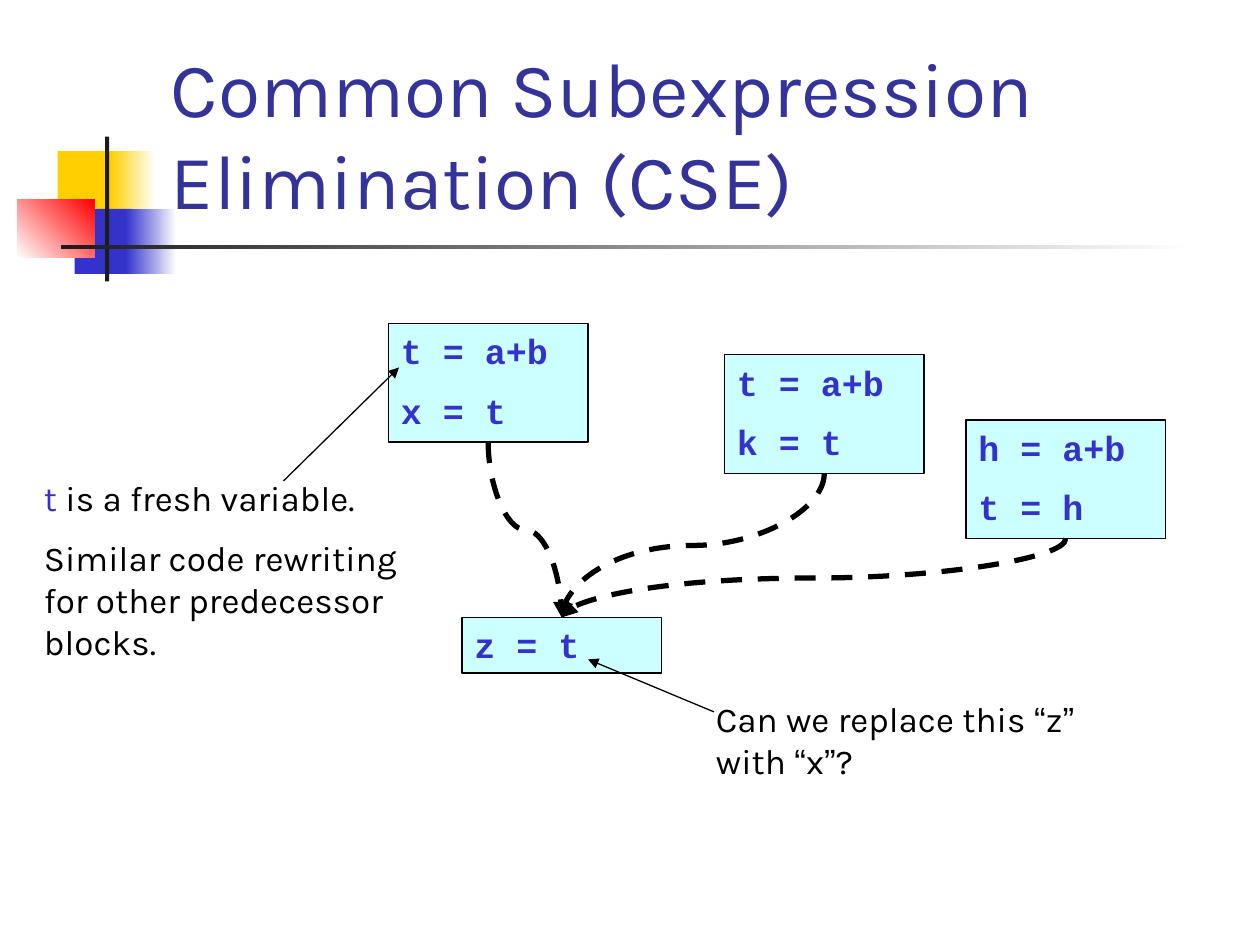
from dataclasses import dataclass

from lxml import etree
from pptx import Presentation
from pptx.dml.color import RGBColor
from pptx.enum.dml import MSO_LINE
from pptx.enum.shapes import MSO_CONNECTOR, MSO_SHAPE
from pptx.enum.text import MSO_ANCHOR, MSO_AUTO_SIZE, PP_ALIGN
from pptx.oxml.ns import qn
from pptx.slide import Slide
from pptx.util import Inches, Pt

RECTANGLE = MSO_SHAPE.RECTANGLE
STRAIGHT, CURVE = MSO_CONNECTOR.STRAIGHT, MSO_CONNECTOR.CURVE
DASH = MSO_LINE.DASH
TOP, BOTTOM = MSO_ANCHOR.TOP, MSO_ANCHOR.BOTTOM
GROW = MSO_AUTO_SIZE.SHAPE_TO_FIT_TEXT
LEFT = PP_ALIGN.LEFT
TOP_SITE, BOTTOM_SITE = 0, 2
COLUMNS, ROWS = 120, 90
QUOTES = "“”"


def color(value):
    return RGBColor.from_string(value)


@dataclass
class Style:
    slide: Slide
    column: float
    row: float
    text_font: str = "Karla"
    quote_font: str = "Arial"
    code_font: str = "Courier New"
    title: str = "333399"
    accent: str = "3333CC"
    ink: str = "000000"
    panel: str = "CCFFFF"
    size: int = 20

    def place(self, *lengths):
        units = (self.column, self.row) * 2
        return [round(length * unit) for length, unit in zip(lengths, units)]

    def block(self, at, first, last=None, angle=0):
        box = self.slide.shapes.add_shape(RECTANGLE, *self.place(*at))
        box.shadow.inherit = False
        box.line.fill.background()
        if last:
            box.fill.gradient()
            box.fill.gradient_angle = angle
            for stop, value in zip(box.fill.gradient_stops, (first, last)):
                stop.color.rgb = color(value)
        else:
            box.fill.solid()
            box.fill.fore_color.rgb = color(first)
        return box

    def format(self, span, font, value, size, bold=False):
        span.font.name = font
        span.font.size = Pt(size)
        span.font.bold = bold
        span.font.color.rgb = color(value)

    def space(self, para):
        para.alignment = LEFT
        before = etree.SubElement(para._p.get_or_add_pPr(), qn("a:spcBef"))
        etree.SubElement(before, qn("a:spcPct")).set("val", "50000")

    def heading(self, at, text):
        box = self.slide.shapes.add_textbox(*self.place(*at))
        frame = box.text_frame
        frame.word_wrap = True
        frame.vertical_anchor = BOTTOM
        frame.text = text
        self.format(frame.paragraphs[0].runs[0], self.text_font, self.title, 44)

    def code(self, at, text):
        box = self.block(at, self.panel)
        box.line.color.rgb = color(self.ink)
        box.line.width = Pt(0.75)
        frame = box.text_frame
        frame.word_wrap = True
        frame.auto_size = GROW
        frame.vertical_anchor = TOP
        frame.text = text
        for para in frame.paragraphs:
            self.space(para)
            self.format(para.runs[0], self.code_font, self.accent, self.size, True)
        return box

    def note(self, at, paragraphs):
        box = self.slide.shapes.add_textbox(*self.place(*at))
        frame = box.text_frame
        frame.word_wrap = True
        frame.auto_size = GROW
        for index, spans in enumerate(paragraphs):
            para = frame.add_paragraph() if index else frame.paragraphs[0]
            self.space(para)
            for text in spans:
                span = para.add_run()
                span.text = text
                font = self.quote_font if text in QUOTES else self.text_font
                value = self.accent if text == "t" else self.ink
                self.format(span, font, value, self.size)

    def arrow(self, kind, ends, width):
        line = self.slide.shapes.add_connector(kind, *self.place(*ends))
        line.line.color.rgb = color(self.ink)
        line.line.width = Pt(width)
        tail = etree.SubElement(line.line._get_or_add_ln(), qn("a:tailEnd"))
        tail.set("type", "triangle")
        etree.SubElement(line._element.spPr, qn("a:effectLst"))
        return line

    def flow(self, source, target):
        line = self.arrow(CURVE, (0, 0, 1, 1), 3)
        line.line.dash_style = DASH
        line.begin_connect(source, BOTTOM_SITE)
        line.end_connect(target, TOP_SITE)
        rightward = line.end_x > line.begin_x
        middle = line.left + line.width // 2
        center = line.top + line.height // 2
        line.width, line.height = line.height, line.width
        line.left = middle - line.width // 2
        line.top = center - line.height // 2
        frame = line._element.spPr.find(qn("a:xfrm"))
        frame.set("rot", str((270 if rightward else 90) * 60000))
        frame.set("flipH", "1" if rightward else "0")


def main():
    deck = Presentation()
    deck.slide_width, deck.slide_height = Inches(10), Inches(7.5)
    page = deck.slides.add_slide(deck.slide_layouts[6])
    style = Style(page, deck.slide_width / COLUMNS, deck.slide_height / ROWS)

    for at, *fill in (
        ((5.5, 14.4, 5.8, 6.2), "FFCF01"),
        ((10.5, 14.4, 4.3, 6.2), "FFCF01", "FFFFFF"),
        ((7.1, 19.9, 5.5, 6.2), "3333CC"),
        ((12, 19.9, 4.8, 6.2), "3333CC", "FFFFFF"),
        ((1.65, 19, 7.35, 5.55), "FFFFFF", "FF0000", 45),
        ((10, 13, 0.4, 13.8), "1C1C1C"),
        ((5.8, 23.35, 108, 0.4), "1C1C1C", "FFFFFF"),
    ):
        style.block(at, *fill)

    style.heading((15.1, 2.8, 102.2, 19.2), "Common Subexpression Elimination (CSE)")

    target = style.code((44, 58.8, 19, 5.3), "z = t")
    predecessors = [
        style.code((left, top, 19, 11.3), text)
        for left, top, text in (
            (37, 30.8, "t = a+b\nx = t"),
            (69, 33.8, "t = a+b\nk = t"),
            (92, 40, "h = a+b\nt = h"),
        )
    ]
    for source in predecessors:
        style.flow(source, target)

    style.note((3, 44.8, 39, 19.2), [
        ["t", " is a fresh variable."],
        ["Similar code rewriting for other predecessor blocks."],
    ])
    style.arrow(STRAIGHT, (27, 45.8, 38, 35), 0.75)
    style.note((67, 65.8, 39, 9.2), [
        ["Can we replace this ", "“", "z", "”", " with ", "“", "x", "”", "?"],
    ])
    style.arrow(STRAIGHT, (68, 67.8, 56, 62.8), 0.75)
    deck.save("out.pptx")


if __name__ == "__main__":
    main()
